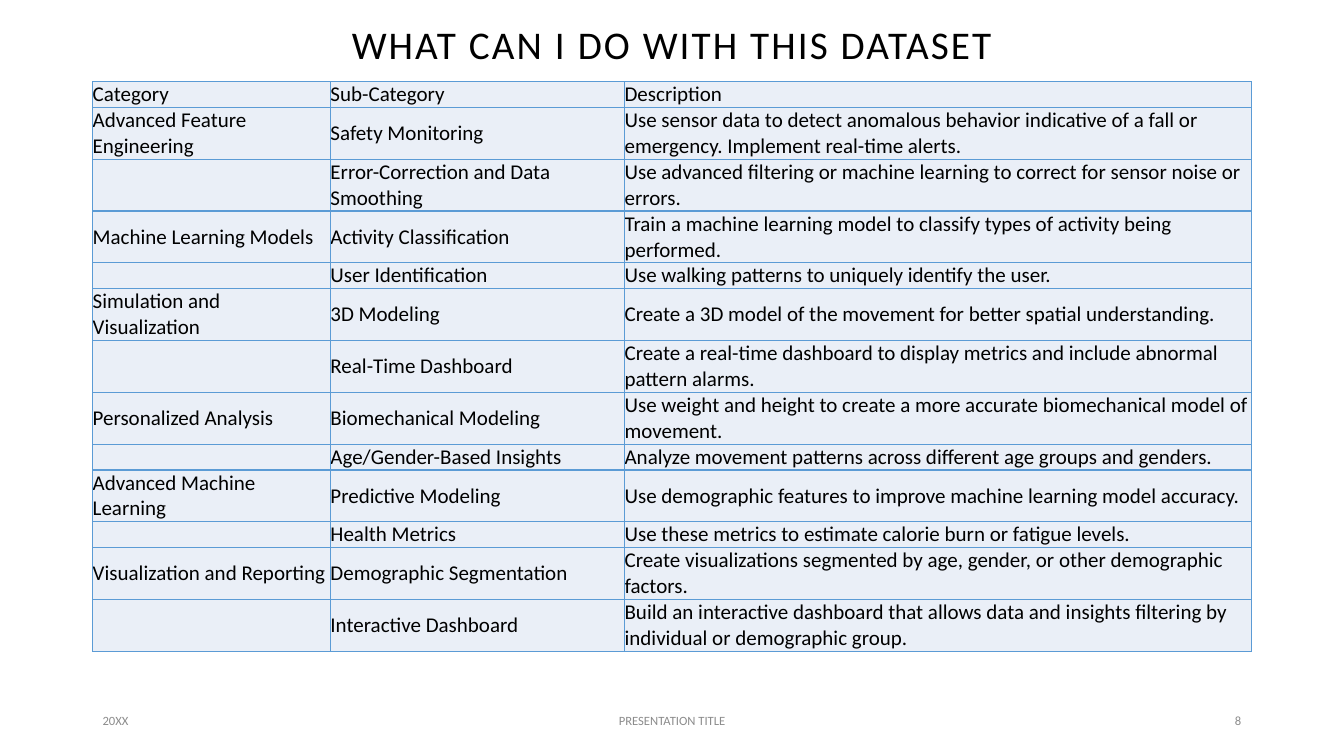
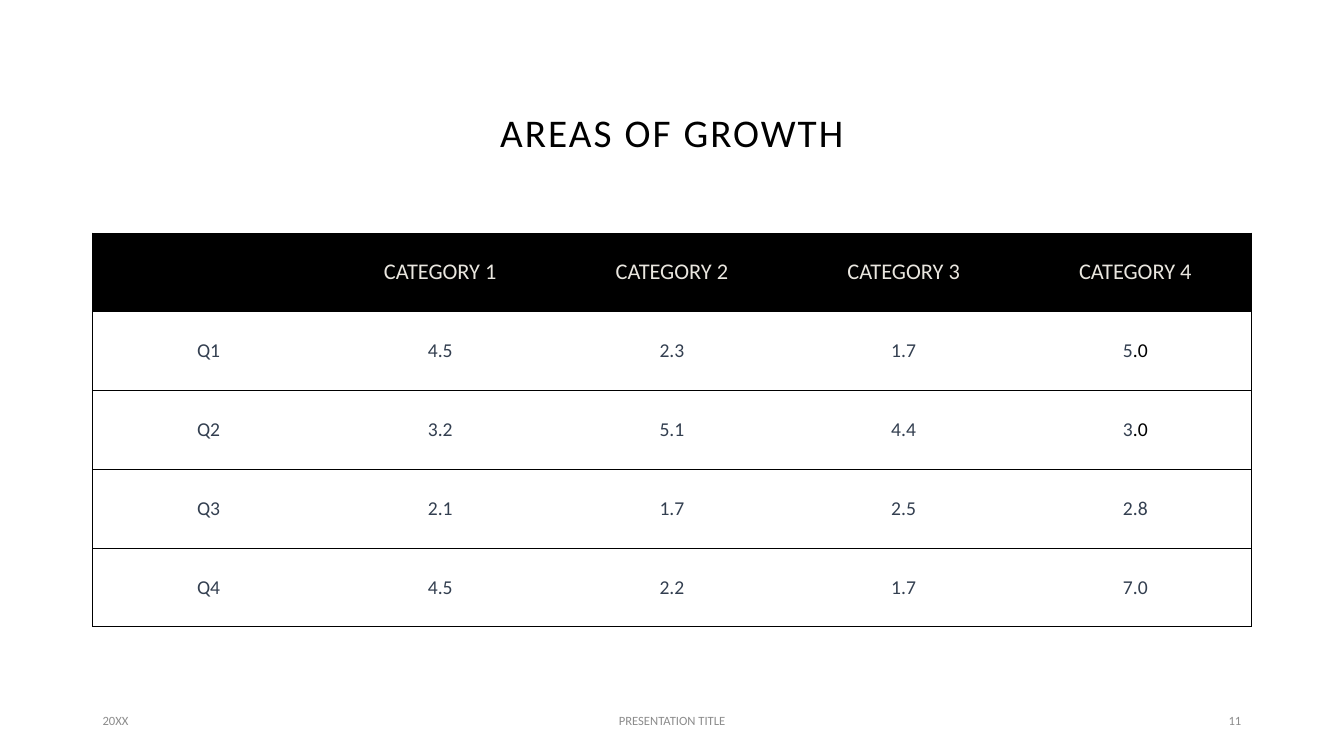
from dataclasses import dataclass

from lxml.etree import SubElement
from pptx import Presentation
from pptx.dml.color import RGBColor
from pptx.enum.text import MSO_ANCHOR, PP_ALIGN
from pptx.oxml.ns import qn
from pptx.util import Inches, Pt

PAGE_WIDTH, PAGE_HEIGHT = 13.33, 7.5
FONT = "Calibri"
BLACK, WHITE, GREY = "000000", "FFFFFF", "8C8C8C"
BLUE, PALE_BLUE = "5B9BD5", "EAEFF7"
IVORY, SLATE = "E9E6DF", "333F50"
PLAIN_TABLE_STYLE = "{2D5ABB26-0587-4C30-8999-92F81FD0307C}"
FOOTER_COLUMNS = 23

USES = [
    ("Category", "Sub-Category", "Description"),
    ("Advanced Feature Engineering", "Safety Monitoring",
     "Use sensor data to detect anomalous behavior indicative of a fall or emergency. "
     "Implement real-time alerts."),
    ("", "Error-Correction and Data Smoothing",
     "Use advanced filtering or machine learning to correct for sensor noise or errors."),
    ("Machine Learning Models", "Activity Classification",
     "Train a machine learning model to classify types of activity being performed."),
    ("", "User Identification", "Use walking patterns to uniquely identify the user."),
    ("Simulation and Visualization", "3D Modeling",
     "Create a 3D model of the movement for better spatial understanding."),
    ("", "Real-Time Dashboard",
     "Create a real-time dashboard to display metrics and include abnormal pattern alarms."),
    ("Personalized Analysis", "Biomechanical Modeling",
     "Use weight and height to create a more accurate biomechanical model of movement."),
    ("", "Age/Gender-Based Insights",
     "Analyze movement patterns across different age groups and genders."),
    ("Advanced Machine Learning", "Predictive Modeling",
     "Use demographic features to improve machine learning model accuracy."),
    ("", "Health Metrics", "Use these metrics to estimate calorie burn or fatigue levels."),
    ("Visualization and Reporting", "Demographic Segmentation",
     "Create visualizations segmented by age, gender, or other demographic factors."),
    ("", "Interactive Dashboard",
     "Build an interactive dashboard that allows data and insights filtering by individual "
     "or demographic group."),
]
USES_LINES = [1, 2, 2, 2, 1, 2, 2, 2, 1, 2, 1, 2, 2]

# A tuple is one value whose second part is black.
GROWTH = [
    ("", "CATEGORY 1", "CATEGORY 2", "CATEGORY 3", "CATEGORY 4"),
    ("Q1", "4.5", "2.3", "1.7", ("5", ".0")),
    ("Q2", "3.2", "5.1", "4.4", ("3", ".0")),
    ("Q3", "2.1", "1.7", "2.5", "2.8"),
    ("Q4", "4.5", "2.2", "1.7", "7.0"),
]


@dataclass
class Box:
    """A region in inches."""
    left: float
    top: float
    width: float
    height: float

    def emu(self):
        return [Inches(n) for n in (self.left, self.top, self.width, self.height)]


def band(top, height):
    """A region between the side margins, given as shares of the page height."""
    margin = 0.069 * PAGE_WIDTH
    return Box(margin, top * PAGE_HEIGHT, PAGE_WIDTH - 2 * margin, height * PAGE_HEIGHT)


def color(value):
    return RGBColor.from_string(value)


def write(frame, text, *, size, ink=BLACK, align=PP_ALIGN.LEFT, line=None, spacing=None):
    """Fill the first paragraph; text is a string or a (main, black part) pair."""
    para = frame.paragraphs[0]
    para.alignment = align
    if line:
        para.line_spacing = line
    parts = (text,) if isinstance(text, str) else text
    for part, part_ink in zip(parts, (ink, BLACK)):
        if not part:
            para._p.get_or_add_endParaRPr().set("sz", str(size * 100))
            continue
        span = para.add_run()
        span.text = part
        span.font.name = FONT
        span.font.size = Pt(size)
        span.font.color.rgb = color(part_ink)
        if spacing:
            span.font._element.set("spc", str(int(spacing * 100)))


def add_text(page, box, text, anchor=MSO_ANCHOR.MIDDLE, **style):
    frame = page.shapes.add_textbox(*box.emu()).text_frame
    frame.word_wrap = True
    frame.vertical_anchor = anchor
    write(frame, text, **style)


def add_title(page, box, text):
    add_text(page, box, text, MSO_ANCHOR.BOTTOM, size=28, align=PP_ALIGN.CENTER,
             line=0.9, spacing=1.5)


def add_footer(page, box, number):
    column = box.width / FOOTER_COLUMNS
    for start, span, text, align in (
        (0, 6, "20XX", PP_ALIGN.LEFT),
        (7, 9, "PRESENTATION TITLE", PP_ALIGN.CENTER),
        (17, 6, str(number), PP_ALIGN.RIGHT),
    ):
        part = Box(box.left + start * column, box.top, span * column, box.height)
        add_text(page, part, text, size=9, ink=GREY, align=align)


def add_borders(cell, sides, ink, width):
    """Draw the sides named in a string of L, R, T and B."""
    properties = cell._tc.get_or_add_tcPr()
    for side in (side for side in "LRTB" if side in sides):
        edge = SubElement(properties, qn(f"a:ln{side}"), w=str(Pt(width)))
        fill = SubElement(edge, qn("a:solidFill"))
        SubElement(fill, qn("a:srgbClr"), val=ink)


def fill_cell(cell, ink):
    cell.fill.solid()
    cell.fill.fore_color.rgb = color(ink)


def add_plain_table(page, box, row_shares, column_shares):
    """An unstyled table whose rows and columns divide the box by their shares."""
    table = page.shapes.add_table(len(row_shares), len(column_shares), *box.emu()).table
    table.first_row = table.horz_banding = False
    table._tbl.tblPr.find(qn("a:tableStyleId")).text = PLAIN_TABLE_STYLE
    for row, share in zip(table.rows, row_shares):
        row.height = Inches(box.height * share / sum(row_shares))
    for column, share in zip(table.columns, column_shares):
        column.width = Inches(box.width * share / sum(column_shares))
    return table


def add_uses_table(page, box):
    table = add_plain_table(page, box, USES_LINES, (2.36, 2.92, 6.22))
    for r, row in enumerate(USES):
        for c, text in enumerate(row):
            cell = table.cell(r, c)
            cell.margin_left = cell.margin_right = cell.margin_top = cell.margin_bottom = 0
            cell.vertical_anchor = MSO_ANCHOR.MIDDLE if r else MSO_ANCHOR.BOTTOM
            add_borders(cell, "LRTB", BLUE, 1)
            fill_cell(cell, PALE_BLUE)
            write(cell.text_frame, text, size=15)


def add_growth_table(page, box):
    columns = len(GROWTH[0])
    table = add_plain_table(page, box, [1] * len(GROWTH), [1] * columns)
    outer_sides = {0: "L", columns - 1: "R"}
    for r, row in enumerate(GROWTH):
        size, ink, background = (14, SLATE, WHITE) if r else (16, IVORY, BLACK)
        for c, text in enumerate(row):
            cell = table.cell(r, c)
            cell.vertical_anchor = MSO_ANCHOR.MIDDLE
            add_borders(cell, "TB" + outer_sides.get(c, ""), BLACK, 0.5)
            fill_cell(cell, background)
            write(cell.text_frame, text, size=size, ink=ink, align=PP_ALIGN.CENTER)


def add_page(deck, title, title_height, number):
    page = deck.slides.add_slide(deck.slide_layouts[6])
    page.background.fill.solid()
    page.background.fill.fore_color.rgb = color(WHITE)
    add_title(page, band(0.02, title_height), title)
    add_footer(page, band(0.927, 0.053), number)
    return page


def main():
    deck = Presentation()
    deck.slide_width, deck.slide_height = Inches(PAGE_WIDTH), Inches(PAGE_HEIGHT)
    uses = add_page(deck, "WHAT CAN I DO WITH THIS DATASET", 0.076, 8)
    add_uses_table(uses, band(0.108, 0.754))
    growth = add_page(deck, "AREAS OF GROWTH", 0.193, 11)
    add_growth_table(growth, band(0.308, 0.521))
    deck.save("out.pptx")


if __name__ == "__main__":
    main()
